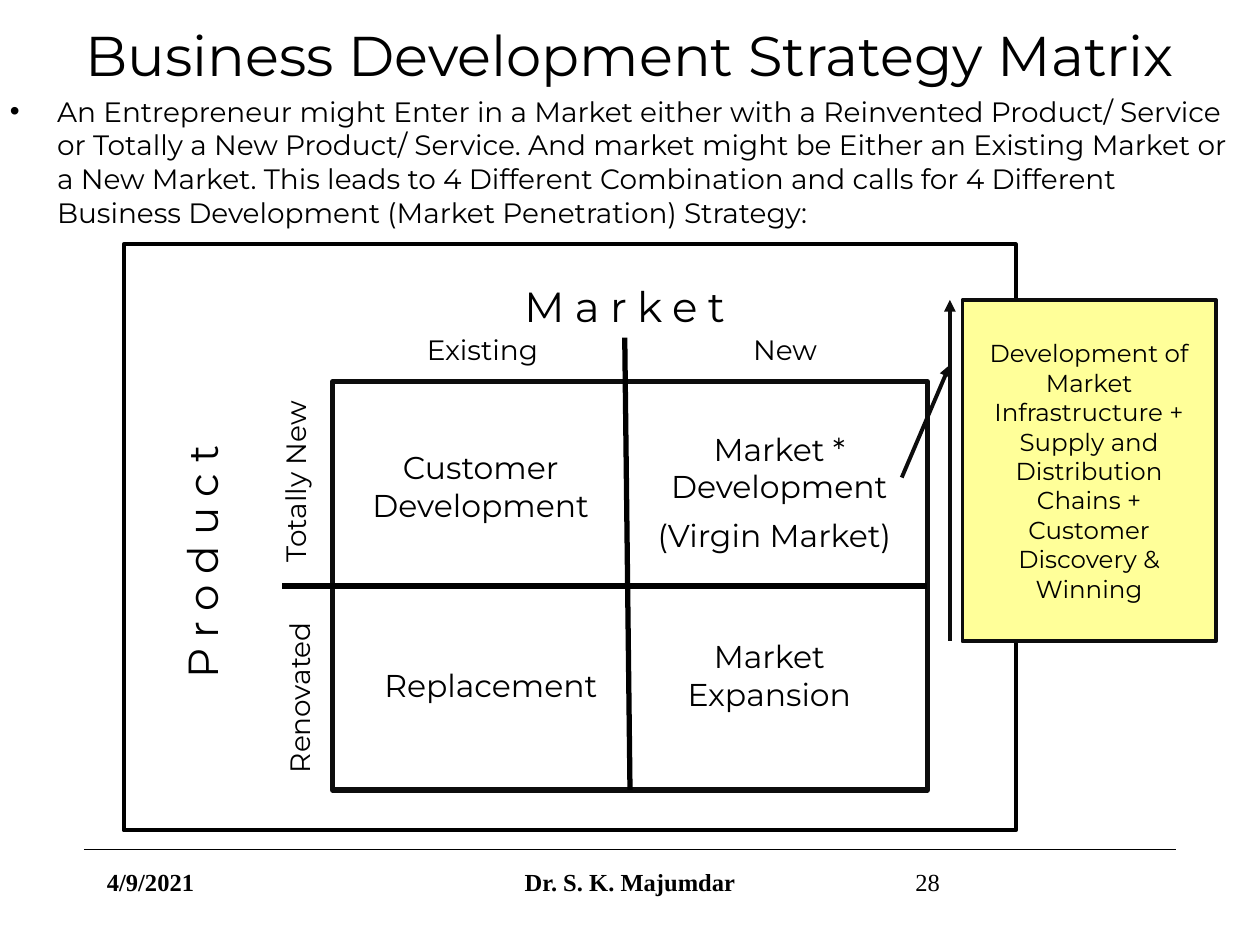
from dataclasses import dataclass

import pptx
import pptx.dml.color
import pptx.enum.shapes
import pptx.enum.text
import pptx.oxml
import pptx.oxml.ns
import pptx.util
from lxml import etree

Pt = pptx.util.Pt
ALIGN = pptx.enum.text.PP_ALIGN
ANCHOR = pptx.enum.text.MSO_ANCHOR
SHAPE = pptx.enum.shapes.MSO_SHAPE
SANS, SERIF = "Montserrat", "Times New Roman"
BLACK, DARK, YELLOW = "000000", "0D0D0D", "FFFF99"


@dataclass
class Label:
    text: str
    left: float
    top: float
    width: float
    height: float
    size: float = 18
    align: ALIGN = ALIGN.CENTER
    rotation: float = 0
    tracking: int = 0
    font: str = SANS
    bold: bool = False


@dataclass
class Rule:
    x1: float
    y1: float
    x2: float
    y2: float
    weight: float = 3


@dataclass
class Box:
    kind: SHAPE
    left: float
    top: float
    width: float
    height: float
    color: str
    weight: float
    fill: str = ""


def rgb(color: str) -> pptx.dml.color.RGBColor:
    return pptx.dml.color.RGBColor.from_string(color)


def add_sub(parent, tag: str, **attrs: str):
    return etree.SubElement(parent, pptx.oxml.ns.qn(tag), attrs)


def set_text(sp, text: str, size: float, align: ALIGN, font: str = SANS,
             bold: bool = False, tracking: int = 0) -> None:
    tf = sp.text_frame
    tf.word_wrap = True
    tf.text = text
    p = tf.paragraphs[0]
    p.alignment = align
    r = p.runs[0]
    r.font.name, r.font.size, r.font.bold = font, Pt(size), bold
    r.font.color.rgb = rgb(BLACK)
    if tracking:
        r.font._element.set("spc", str(tracking * 100))


def add_label(s, label: Label):
    sp = s.shapes.add_textbox(Pt(label.left), Pt(label.top), Pt(label.width), Pt(label.height))
    sp.rotation = label.rotation
    set_text(sp, label.text, label.size, label.align, label.font, label.bold, label.tracking)
    return sp


def add_rule(s, rule: Rule) -> None:
    line = s.shapes.add_connector(pptx.enum.shapes.MSO_CONNECTOR.STRAIGHT,
                                  Pt(rule.x1), Pt(rule.y1), Pt(rule.x2), Pt(rule.y2))
    line.line.color.rgb = rgb(BLACK)
    line.line.width = Pt(rule.weight)
    add_sub(line._element.spPr, "a:effectLst")


def add_box(s, box: Box):
    sp = s.shapes.add_shape(box.kind, Pt(box.left), Pt(box.top), Pt(box.width), Pt(box.height))
    sp.shadow.inherit = False
    sp.line.color.rgb = rgb(box.color)
    sp.line.width = Pt(box.weight)
    if box.fill:
        sp.fill.solid()
        sp.fill.fore_color.rgb = rgb(box.fill)
    else:
        sp.fill.background()
    return sp


prs = pptx.Presentation()
prs.slide_width, prs.slide_height = Pt(720), Pt(540)
s = prs.slides.add_slide(prs.slide_layouts[5])

# Title
title = s.shapes.title
title.left, title.top, title.width, title.height = Pt(0), Pt(-1.44), Pt(720), Pt(64.8)
set_text(title, "Business Development Strategy Matrix", 32, ALIGN.CENTER)
title.text_frame.vertical_anchor = ANCHOR.MIDDLE

# Introduction with a bullet
intro = add_label(s, Label(
    "An Entrepreneur might Enter in a Market either with a Reinvented Product/ Service or "
    "Totally a New Product/ Service. And market might be Either an Existing Market or a New "
    "Market. This leads to 4 Different Combination and calls for 4 Different Business "
    "Development (Market Penetration) Strategy:",
    -1.44, 50.4, 711.4, 89.3, 16, ALIGN.LEFT))
pPr = intro.text_frame.paragraphs[0]._p.get_or_add_pPr()
pPr.set("marL", str(Pt(27)))
pPr.set("indent", str(Pt(-27)))
add_sub(add_sub(pPr, "a:spcBef"), "a:spcPct", val="20000")
add_sub(pPr, "a:buFont", typeface="Arial")
add_sub(pPr, "a:buChar", char="•")

# Footer rule, matrix frame and dividers
add_rule(s, Rule(48, 485.3, 672, 485.3, 0.75))
add_box(s, Box(SHAPE.RECTANGLE, 190, 218.2, 340, 233.3, DARK, 3))
for rule in (Rule(357, 193, 360, 451.4), Rule(161.3, 334.8, 530, 334.8)):
    add_rule(s, rule)

# Axis headings, quadrants and footer
LABELS = [
    Label("Market", 275, 157, 164, 36, 24, tracking=6),
    Label("Product", 24.5, 303, 181.4, 36, 24, rotation=270, tracking=6),
    Label("Existing", 228.2, 186.5, 86.4, 26.6, 16, ALIGN.RIGHT),
    Label("New", 405.4, 186.5, 86.4, 26.6, 16),
    Label("Totally New", 100, 262, 137.5, 26.6, 16, rotation=270),
    Label("Renovated", 113.8, 392.4, 114.5, 26.6, 16, ALIGN.RIGHT, 270),
    Label("Customer Development", 200.9, 252.7, 147.6, 51),
    Label("Market * Development", 371.5, 242, 147.6, 51),
    Label("(Virgin Market)", 360, 291.6, 165, 28.8),
    Label("Replacement", 200.9, 377.3, 147.6, 28.8, align=ALIGN.RIGHT),
    Label("Market Expansion", 365.8, 360.7, 147.6, 51),
    Label("4/9/2021", 54, 492, 150, 36, 14, ALIGN.LEFT, font=SERIF, bold=True),
    Label("Dr. S. K. Majumdar", 246, 492, 228, 36, 14, font=SERIF, bold=True),
    Label("28", 516, 492, 150, 36, 14, ALIGN.LEFT, font=SERIF),
]
for label in LABELS:
    add_label(s, label)

# Outer frame
add_box(s, Box(SHAPE.RECTANGLE, 70.6, 139.7, 509.8, 334.8, BLACK, 2.25))

# Callout for the virgin market
callout = add_box(s, Box(SHAPE.LINE_CALLOUT_1_BORDER_AND_ACCENT_BAR,
                         550, 171.4, 144.7, 195.1, DARK, 2.25, YELLOW))
for i, value in enumerate((0.19, -0.05, 0.52, -0.24)):
    callout.adjustments[i] = value
add_sub(callout.line._get_or_add_ln(), "a:headEnd", type="triangle")
set_text(callout, "Development of Market Infrastructure + Supply and Distribution Chains + "
         "Customer Discovery & Winning", 14, ALIGN.CENTER)
callout.text_frame.vertical_anchor = ANCHOR.MIDDLE

prs.save("out.pptx")
